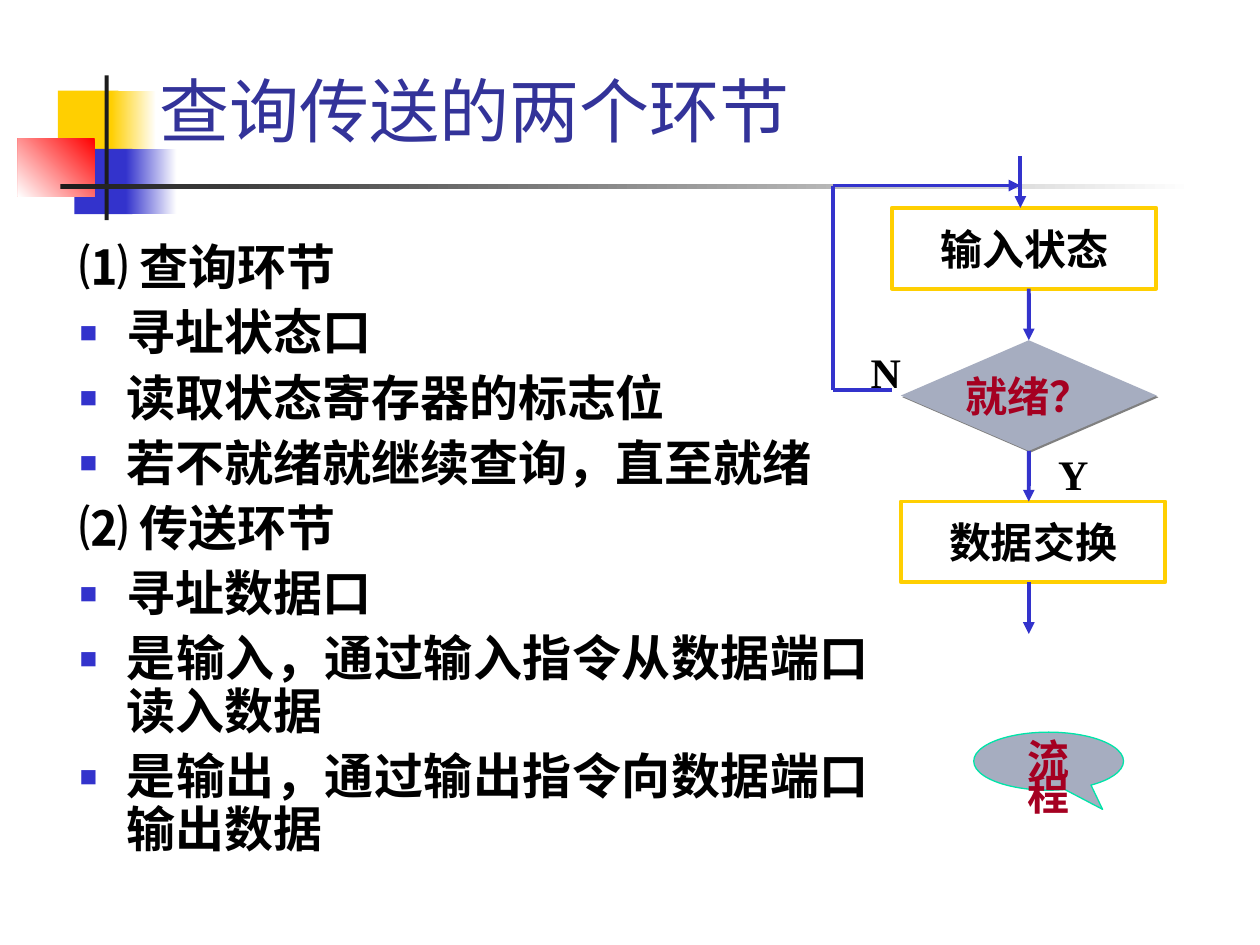
from lxml.etree import SubElement
from pptx import Presentation
from pptx.dml.color import RGBColor
from pptx.enum.shapes import MSO_CONNECTOR, MSO_SHAPE
from pptx.enum.text import MSO_ANCHOR, MSO_AUTO_SIZE, PP_ALIGN
from pptx.oxml.ns import qn
from pptx.util import Cm, Pt

YELLOW, BLUE, RED, WHITE = "FFCF01", "3333CC", "FF0000", "FFFFFF"
DARK, GREY, CRIMSON, BLACK = "1C1C1C", "A6ADC0", "A50021", "000000"
SERIF, SANS = "Times New Roman", "Roboto"


def color(code):
    return RGBColor.from_string(code)


def add_xml(parent, tag, **attributes):
    return SubElement(parent, qn(tag), attributes)


class FlowSlide:
    """Holds the slide and the style shared by its elements."""

    line_width = Pt(2.25)
    label_size = 24

    def __init__(self, slide):
        self.slide = slide

    def add_text(self, paragraph, text, size, font=SERIF, ink=BLACK, bold=True):
        run = paragraph.add_run()
        run.text = text
        run.font.size = Pt(size)
        run.font.name = font
        run.font.bold = bold
        run.font.color.rgb = color(ink)

    def place(self, shape, box):
        shape.left, shape.top, shape.width, shape.height = map(Cm, box)
        shape.text_frame.auto_size = MSO_AUTO_SIZE.NONE

    def title(self, text, box):
        holder = self.slide.shapes.title
        self.place(holder, box)
        holder.text_frame.vertical_anchor = MSO_ANCHOR.BOTTOM
        heading = holder.text_frame.paragraphs[0]
        heading.alignment = PP_ALIGN.LEFT
        self.add_text(heading, text, 40, SANS, "333399", False)

    def outline(self, sections, box):
        holder = self.slide.placeholders[1]
        self.place(holder, box)
        frame = holder.text_frame
        frame.vertical_anchor = MSO_ANCHOR.TOP
        entries = [(text, index > 0) for section in sections
                   for index, text in enumerate(section)]
        for index, (text, bulleted) in enumerate(entries):
            entry = frame.add_paragraph() if index else frame.paragraphs[0]
            entry.alignment = PP_ALIGN.JUSTIFY
            entry.line_spacing = 0.9
            entry.space_before = Pt(7 if index else 0)
            self.bullet(entry, bulleted)
            self.add_text(entry, text, 28)

    def bullet(self, paragraph, visible):
        properties = paragraph._p.get_or_add_pPr()
        properties.set("marL", str(Cm(0.95)))
        properties.set("indent", str(-Cm(0.95)))
        if not visible:
            add_xml(properties, "a:buNone")
            return
        add_xml(add_xml(properties, "a:buClr"), "a:srgbClr", val=BLUE)
        add_xml(properties, "a:buSzPct", val="60000")
        add_xml(properties, "a:buChar", char="■")

    def shape(self, preset, box, fill=None, line=None, width=line_width):
        shape = self.slide.shapes.add_shape(preset, *map(Cm, box))
        shape.shadow.inherit = False
        if fill:
            shape.fill.solid()
            shape.fill.fore_color.rgb = color(fill)
        else:
            shape.fill.background()
        if line:
            shape.line.color.rgb = color(line)
            shape.line.width = width
        else:
            shape.line.fill.background()
        return shape

    def fade(self, box, tint, angle=0):
        """Add a rectangle that fades from a tint to white."""
        block = self.shape(MSO_SHAPE.RECTANGLE, box)
        block.fill.gradient()
        block.fill.gradient_angle = angle
        for stop, code in zip(block.fill.gradient_stops, (tint, WHITE)):
            stop.color.rgb = color(code)

    def step(self, preset, text, box, ink=BLACK, **style):
        step = self.shape(preset, box, **style)
        frame = step.text_frame
        frame.word_wrap = False
        frame.vertical_anchor = MSO_ANCHOR.MIDDLE
        frame.paragraphs[0].alignment = PP_ALIGN.CENTER
        self.add_text(frame.paragraphs[0], text, self.label_size, ink=ink)
        return step

    def drop_shadow(self, shape):
        effects = shape._element.spPr.find(qn("a:effectLst"))
        shadow = add_xml(effects, "a:outerShdw", dist=str(Pt(1.4)), dir="2700000",
                         algn="ctr", rotWithShape="0")
        add_xml(shadow, "a:srgbClr", val="808080")

    def callout(self, text, box):
        bubble = self.shape(MSO_SHAPE.OVAL_CALLOUT, box, GREY, "00E4A8", Pt(0.75))
        bubble.adjustments[0], bubble.adjustments[1] = 0.36, 0.83
        frame = bubble.text_frame
        frame.word_wrap = True
        frame.vertical_anchor = MSO_ANCHOR.TOP
        caption = frame.paragraphs[0]
        caption.alignment = PP_ALIGN.CENTER
        caption.line_spacing = 0.7
        self.add_text(caption, text, self.label_size, SANS, CRIMSON)

    def label(self, text, left, top):
        box = self.slide.shapes.add_textbox(Cm(left), Cm(top), Cm(1.73), Cm(1.27))
        box.text_frame.word_wrap = True
        self.add_text(box.text_frame.paragraphs[0], text, self.label_size)

    def line(self, start, end, arrow=True):
        line = self.slide.shapes.add_connector(
            MSO_CONNECTOR.STRAIGHT, *map(Cm, start + end))
        line.line.color.rgb = color(BLUE)
        line.line.width = self.line_width
        properties = line._element.spPr
        if arrow:
            add_xml(properties.find(qn("a:ln")), "a:tailEnd", type="triangle")
        add_xml(properties, "a:effectLst")
        return line


def main():
    deck = Presentation()
    deck.slide_width, deck.slide_height = Cm(25.4), Cm(19.05)
    page = FlowSlide(deck.slides.add_slide(deck.slide_layouts[1]))
    rectangle = MSO_SHAPE.RECTANGLE

    page.shape(rectangle, (1.17, 1.83, 1.22, 1.32), YELLOW)
    page.fade((2.24, 1.83, 0.91, 1.32), YELLOW)
    page.shape(rectangle, (1.5, 3, 1.17, 1.32), BLUE)
    page.fade((2.54, 3, 1.02, 1.32), BLUE)
    page.fade((0.36, 2.79, 1.55, 1.17), RED, 225)
    page.shape(rectangle, (2.11, 1.52, 0.08, 2.92), DARK)
    page.fade((1.22, 3.72, 22.86, 0.09), DARK)

    page.title("查询传送的两个环节", (2.97, 0.84, 21.64, 2.34))
    page.outline([
        ("⑴ 查询环节", "寻址状态口", "读取状态寄存器的标志位",
         "若不就绪就继续查询，直至就绪"),
        ("⑵ 传送环节", "寻址数据口",
         "是输入，通过输入指令从数据端口读入数据",
         "是输出，通过输出指令向数据端口输出数据"),
    ], (1.35, 4.78, 16.43, 13.11))

    page.step(rectangle, "输入状态", (17.98, 4.19, 5.33, 1.63), line=YELLOW)
    ready = page.step(MSO_SHAPE.DIAMOND, "就绪？", (18.16, 6.86, 5.16, 2.23),
                      CRIMSON, fill=GREY)
    page.drop_shadow(ready)
    page.step(rectangle, "数据交换", (18.16, 10.11, 5.33, 1.63), line=YELLOW)

    entry_x, main_x, loop_x = 20.57, 20.74, 16.8
    loop_top, loop_bottom = 3.74, 7.87
    page.line((entry_x, 3.15), (entry_x, 4.19))
    page.line((main_x, 5.82), (main_x, 6.86)).end_connect(ready, 0)
    page.line((main_x, 9.09), (main_x, 10.11)).begin_connect(ready, 2)
    page.line((main_x, 11.74), (main_x, 12.78))
    page.line((17.98, loop_bottom), (loop_x, loop_bottom), arrow=False)
    page.line((loop_x, loop_bottom), (loop_x, loop_top), arrow=False)
    page.line((loop_x, loop_top), (entry_x, loop_top))
    page.label("Y", 21.08, 8.92)
    page.label("N", 17.3, 6.86)

    page.callout("流程", (19.63, 14.76, 3.02, 1.17))
    deck.save("out.pptx")


if __name__ == "__main__":
    main()
